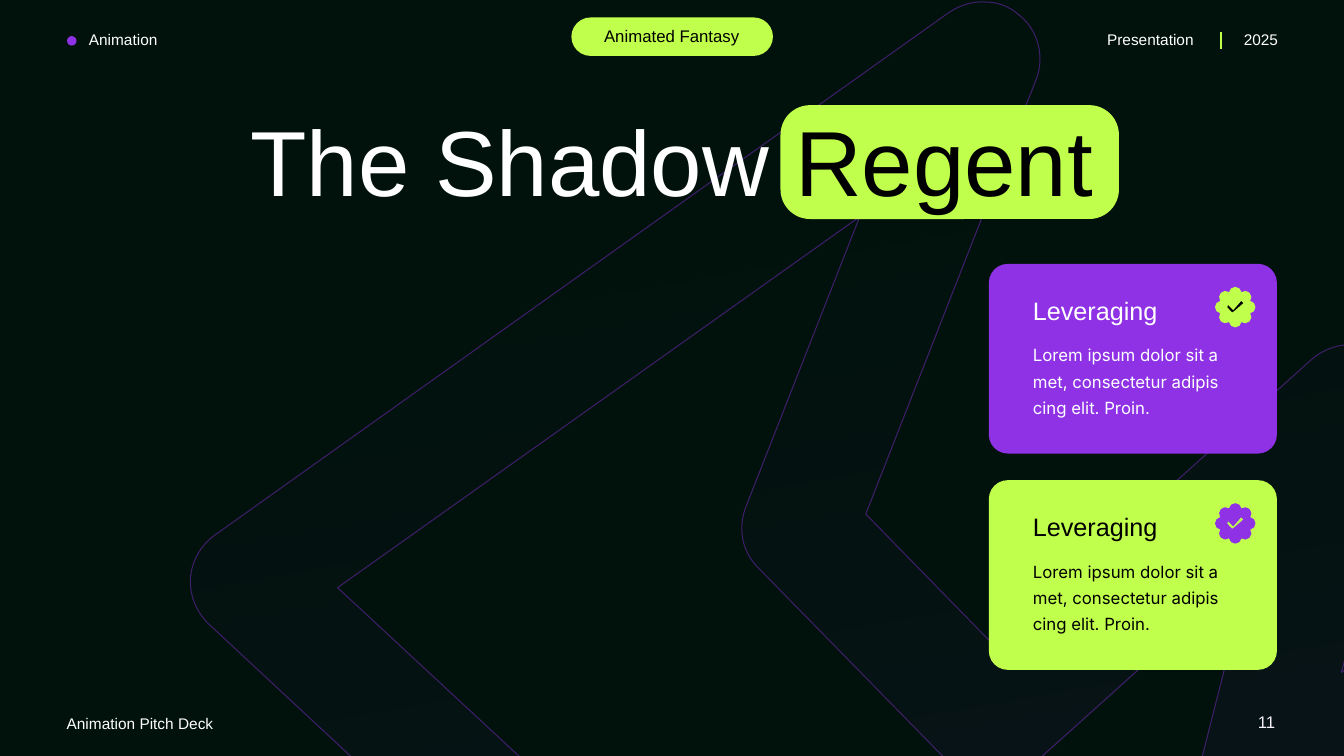
from math import cos, radians, sin, tan

from lxml import etree
from pptx import Presentation
from pptx.dml.color import RGBColor
from pptx.enum import shapes, text
from pptx.oxml.ns import qn
from pptx.util import Cm, Pt

NIGHT = RGBColor(0x01, 0x12, 0x0C)
LIME = RGBColor(0xC1, 0xFF, 0x4D)
PURPLE = RGBColor(0x8F, 0x32, 0xE6)
DIM_PURPLE = RGBColor(0x3E, 0x1E, 0x68)
WHITE = RGBColor(0xFF, 0xFF, 0xFF)
BLACK = RGBColor(0x00, 0x00, 0x00)
LEFT, CENTER, RIGHT = text.PP_ALIGN.LEFT, text.PP_ALIGN.CENTER, text.PP_ALIGN.RIGHT
ROUNDED = shapes.MSO_SHAPE.ROUNDED_RECTANGLE
CM_PER_INCH = 2.54

# Ribbon outline in inches: two numbers are a line, six are a Bezier curve.
RIBBON = [
    (4.18, 9.27), (2.6, 9.2), (3.95, 7.94), (2.07, 6.19),
    (1.95, 6.07, 1.88, 5.91, 1.89, 5.74),
    (1.9, 5.57, 1.99, 5.41, 2.13, 5.31),
    (9.42, 0.12),
    (9.53, 0.05, 9.65, 0.01, 9.78, 0.02),
    (9.89, 0.02, 10.01, 0.06, 10.1, 0.14),
    (10.3, 0.29, 10.37, 0.56, 10.28, 0.79),
    (8.59, 5.1), (9.86, 6.4), (13.02, 3.56),
    (13.21, 3.4, 13.48, 3.37, 13.69, 3.5),
    (13.91, 3.63, 14.01, 3.88, 13.95, 4.12),
    (13.31, 6.67), (15.73, 4.82), (15.66, 6.3), (12.7, 8.56),
    (12.51, 8.7, 12.25, 8.71, 12.05, 8.58),
    (11.84, 8.45, 11.75, 8.2, 11.81, 7.97),
    (12.4, 5.65), (10.22, 7.61),
    (9.99, 7.81, 9.65, 7.8, 9.43, 7.58),
    (7.52, 5.63),
    (7.36, 5.47, 7.32, 5.24, 7.4, 5.03),
    (8.53, 2.15), (3.35, 5.83), (5.17, 7.52),
    (5.29, 7.63, 5.35, 7.78, 5.35, 7.94),
    (5.35, 8.09, 5.29, 8.24, 5.17, 8.35),
]
CHECK_MARK = [(0.15, -0.15), (-0.05, 0.08), (-0.18, -0.05), (-0.2, 0),
              (-0.08, 0.13), (-0.03, 0.1), (0.2, -0.1)]
PETALS, PETAL_DISTANCE, PETAL_RADIUS, PETAL_TURN = 8, 0.35, 0.16, 80


def write_text(shape, words, size=11, colour=WHITE, font="Arial", align=LEFT, spacing=None):
    """Fill a shape with one paragraph per line of words."""
    frame = shape.text_frame
    frame.word_wrap = True
    frame.auto_size = text.MSO_AUTO_SIZE.SHAPE_TO_FIT_TEXT
    frame.vertical_anchor = text.MSO_ANCHOR.TOP
    frame.text = words
    for paragraph in frame.paragraphs:
        paragraph.alignment = align
        paragraph.line_spacing = spacing
        run_font = paragraph.runs[0].font
        run_font.name, run_font.size = font, Pt(size)
        run_font.color.rgb = colour


def draw_shape(parent, outline, colour, box=None, rounding=None):
    """Draw a preset shape in a box, or a closed outline of lines and curves, in cm."""
    if box:
        shape = parent.add_shape(outline, *map(Cm, box))
        if rounding:
            shape.adjustments[0] = rounding
    else:
        corners = [(Cm(segment[-2]), Cm(segment[-1])) for segment in outline]
        builder = parent.build_freeform(*corners[0])
        builder.add_line_segments(corners[1:], close=True)
        shape = builder.convert_to_shape()
        lines = list(shape._element.spPr.iter(qn("a:lnTo")))
        for line, segment in zip(lines, outline[1:]):
            if len(segment) == 6:
                curve = etree.Element(qn("a:cubicBezTo"))
                for x, y in zip(segment[::2], segment[1::2]):
                    point = etree.SubElement(curve, qn("a:pt"))
                    point.set("x", str(Cm(x) - shape.left))
                    point.set("y", str(Cm(y) - shape.top))
                line.getparent().replace(line, curve)
    shape.shadow.inherit = False
    shape.fill.solid()
    shape.fill.fore_color.rgb = colour
    shape.line.fill.background()
    return shape


presentation = Presentation()
presentation.slide_width, presentation.slide_height = Cm(33.87), Cm(19.05)
slide = presentation.slides.add_slide(presentation.slide_layouts[5])
slide.background.fill.solid()
slide.background.fill.fore_color.rgb = NIGHT

# Header and footer
for words, box, style in [
    ("Animation", (1.99, 0.64, 3.25, 0.73), {}),
    ("Presentation", (27.65, 0.64, 2.95, 0.73), {}),
    ("2025", (30.89, 0.64, 1.57, 0.73), {"align": RIGHT}),
    ("11", (30.66, 17.81, 1.73, 0.77), {"align": RIGHT, "size": 12}),
    ("Animation Pitch Deck", (1.43, 17.87, 6.73, 0.73), {}),
]:
    write_text(slide.shapes.add_textbox(*map(Cm, box)), words, **style)
draw_shape(slide.shapes, shapes.MSO_SHAPE.OVAL, PURPLE, (1.69, 0.91, 0.24, 0.24))

divider = slide.shapes.add_connector(
    shapes.MSO_CONNECTOR.STRAIGHT, Cm(30.77), Cm(0.81), Cm(30.77), Cm(1.23))
divider.line.color.rgb = LIME
divider.line.width = Pt(1)
etree.SubElement(divider._element.spPr, qn("a:effectLst"))

draw_shape(slide.shapes, ROUNDED, LIME, (14.4, 0.44, 5.08, 0.97), 0.5)
deck_label = slide.shapes.add_textbox(Cm(14.88), Cm(0.52), Cm(4.1), Cm(0.77))
write_text(deck_label, "Animated Fantasy", size=12, colour=BLACK, align=CENTER)

# Background ribbon
ribbon_outline = [[value * CM_PER_INCH for value in segment] for segment in RIBBON]
ribbon = slide.shapes.add_group_shape()
ribbon_glow = draw_shape(ribbon.shapes, ribbon_outline, NIGHT)
ribbon_glow.fill.gradient()
ribbon_glow.fill.gradient_angle = 280
for stop, colour in zip(ribbon_glow.fill.gradient_stops, (NIGHT, PURPLE)):
    stop.color.rgb = colour
gradient_colours = ribbon_glow._element.spPr.iter(qn("a:srgbClr"))
for gradient_colour, opacity in zip(gradient_colours, (0, 9)):
    etree.SubElement(gradient_colour, qn("a:alpha")).set("val", str(opacity * 1000))

ribbon_edge = draw_shape(ribbon.shapes, ribbon_outline, NIGHT)
ribbon_edge.fill.background()
ribbon_edge.line.color.rgb = DIM_PURPLE
ribbon_edge.line.width = Pt(0.75)

# Title on its highlight
draw_shape(slide.shapes, ROUNDED, LIME, (19.67, 2.65, 8.53, 2.87), 0.26)
title = slide.shapes.title
title.left, title.top, title.width, title.height = map(Cm, (5.17, 2.49, 23.52, 3.07))
write_text(title, "The Shadow ", size=66, align=CENTER)
highlight = title.text_frame.paragraphs[0].add_run()
highlight.text = "Regent"
highlight.font.name, highlight.font.size = "Arial", Pt(66)
highlight.font.color.rgb = BLACK
slide.shapes._spTree.append(title._element)

# Badge: each petal is two arcs, from cusp to tip and from tip to cusp
handle = PETAL_RADIUS * 4 / 3 * tan(radians(PETAL_TURN / 4))
badge_outline = []
for petal in range(PETALS):
    axis = 360 / PETALS * petal
    center_x = PETAL_DISTANCE * cos(radians(axis))
    center_y = PETAL_DISTANCE * sin(radians(axis))
    for turn in (-PETAL_TURN, 0):
        start, end = radians(axis + turn), radians(axis + turn + PETAL_TURN)
        start_x = center_x + PETAL_RADIUS * cos(start)
        start_y = center_y + PETAL_RADIUS * sin(start)
        end_x = center_x + PETAL_RADIUS * cos(end)
        end_y = center_y + PETAL_RADIUS * sin(end)
        if not badge_outline:
            badge_outline.append((start_x, start_y))
        badge_outline.append((start_x - handle * sin(start), start_y + handle * cos(start),
                              end_x + handle * sin(end), end_y - handle * cos(end),
                              end_x, end_y))

# Cards
for top, card_colour, text_colour, badge_colour, check_colour in [
    (12.1, LIME, BLACK, PURPLE, LIME),
    (6.65, PURPLE, WHITE, LIME, BLACK),
]:
    draw_shape(slide.shapes, ROUNDED, card_colour, (24.92, top, 7.26, 4.78), 0.1)
    body = slide.shapes.add_textbox(Cm(25.78), Cm(top + 1.77), Cm(5.61), Cm(2.18))
    write_text(body, "Lorem ipsum dolor sit a\nmet, consectetur adipis\ncing elit. Proin.",
               size=12, colour=text_colour, font="Inter", spacing=1.3)
    heading = slide.shapes.add_textbox(Cm(25.78), Cm(top + 0.67), Cm(4.67), Cm(1.02))
    write_text(heading, "Leveraging", size=18, colour=text_colour)
    badge_center = (31.13, top + 1.09)
    badge = slide.shapes.add_group_shape()
    for outline, colour in ((badge_outline, badge_colour), (CHECK_MARK, check_colour)):
        placed = [[value + badge_center[i % 2] for i, value in enumerate(segment)]
                  for segment in outline]
        draw_shape(badge.shapes, placed, colour)

presentation.save("out.pptx")
